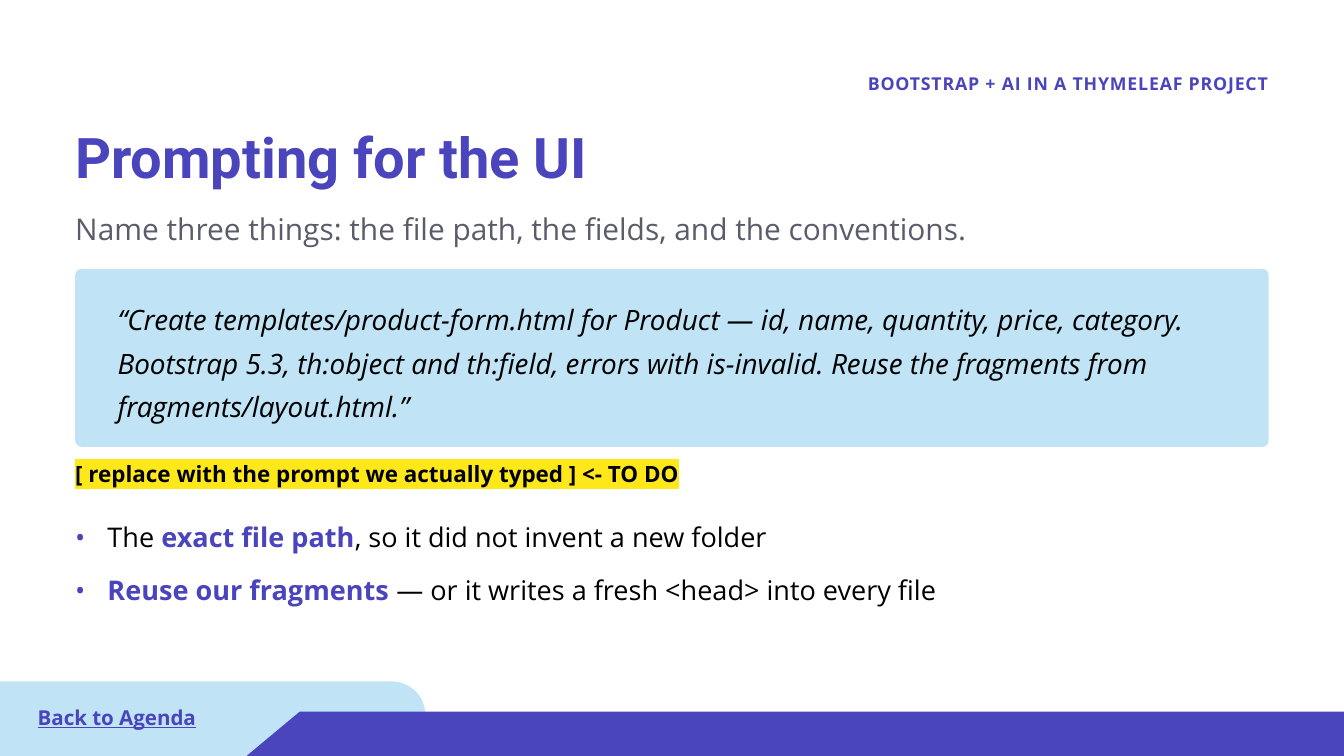
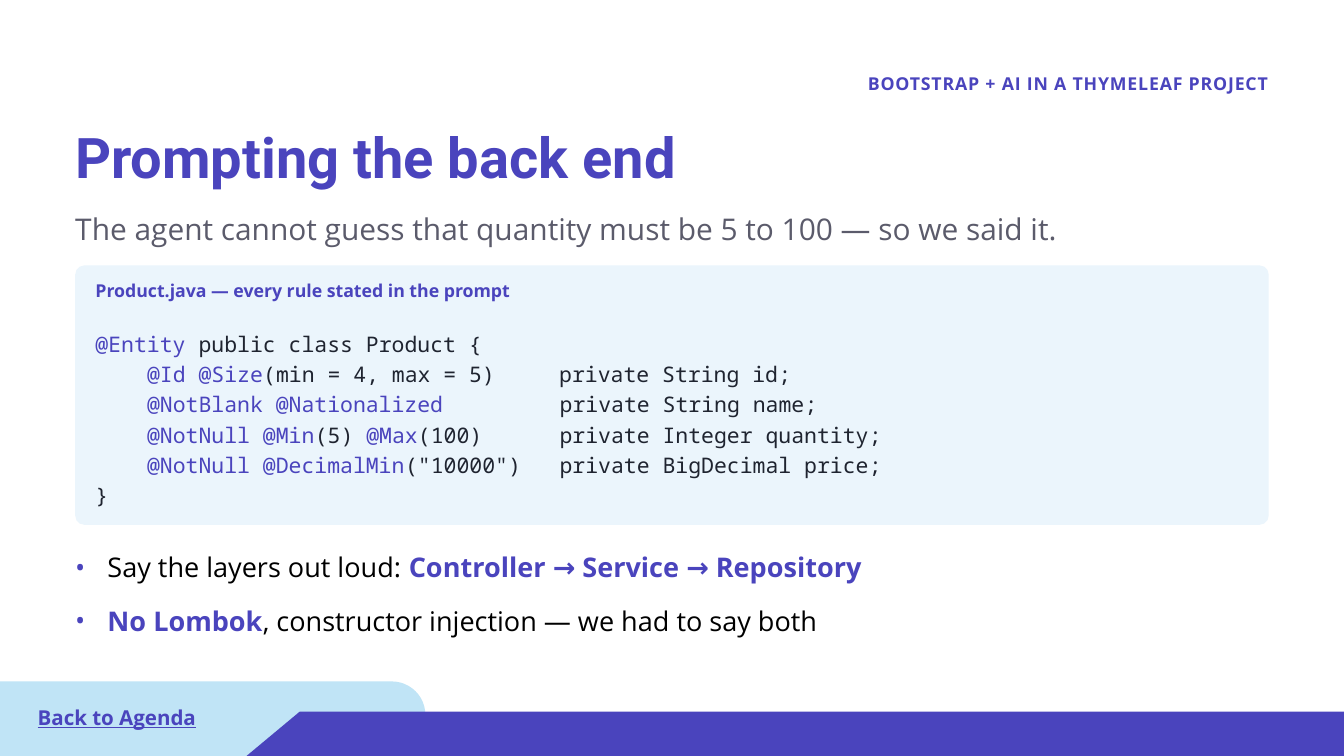
from typing import NamedTuple

from lxml import etree
from pptx import Presentation
from pptx import util as u
from pptx.dml.color import RGBColor
from pptx.enum import shapes, text
from pptx.oxml.ns import qn

COLS, ROWS = 80, 45
CELL = u.Inches(0.25)

INDIGO, SKY, PALE, YELLOW = "4A44BD", "C0E4F6", "EBF5FC", "FFE81A"
BLACK, GREY, INK = "000000", "5B5B6B", "1F2430"
BODY, HEADING, MONO = "Open Sans", "Roboto", "Noto Sans Mono"
MARGIN, CONTENT_WIDTH = 4.48, 71.04

TOPIC = "BOOTSTRAP + AI IN A THYMELEAF PROJECT"
PROMPT = (
    "“Create templates/product-form.html for Product — id, name, quantity, price, category. "
    "Bootstrap 5.3, th:object and th:field, errors with is-invalid. "
    "Reuse the fragments from fragments/layout.html.”"
)
PRODUCT_CLASS = [
    "*@Entity* public class Product {",
    "    *@Id @Size*(min = 4, max = 5)     private String id;",
    "    *@NotBlank @Nationalized*         private String name;",
    "    *@NotNull @Min*(5) *@Max*(100)      private Integer quantity;",
    '    *@NotNull @DecimalMin*("10000")   private BigDecimal price;',
    "}",
]


class Box(NamedTuple):
    """A region in grid columns and rows."""
    left: float
    top: float
    width: float
    height: float

    def emu(self):
        return [round(length * CELL) for length in self]

    def inset(self, dx, dy, height):
        return Box(self.left + dx, self.top + dy, self.width - 2 * dx, height)


def content_row(top, height):
    return Box(MARGIN, top, CONTENT_WIDTH, height)


def rgb(hex_color):
    return RGBColor.from_string(hex_color)


def add_panel(slide, box, color, preset, adjustment):
    panel = slide.shapes.add_shape(preset, *box.emu())
    panel.adjustments[0] = adjustment
    panel.shadow.inherit = False
    panel.fill.solid()
    panel.fill.fore_color.rgb = rgb(color)
    panel.line.fill.background()


def prepare_frame(frame):
    frame.margin_left = frame.margin_top = frame.margin_right = frame.margin_bottom = 0
    frame.word_wrap = True
    frame.auto_size = text.MSO_AUTO_SIZE.NONE
    frame.vertical_anchor = text.MSO_ANCHOR.TOP
    return frame


def style_run(run, size, color, font=BODY, bold=False, italic=False):
    run.font.name = font
    run.font.size = u.Pt(size)
    run.font.color.rgb = rgb(color)
    run.font.bold = bold
    run.font.italic = italic


def add_line(slide, box, words, size, color, spacing=1.0, **style):
    """Add a one-paragraph text box and return its paragraph."""
    frame = prepare_frame(slide.shapes.add_textbox(*box.emu()).text_frame)
    frame.text = words
    paragraph = frame.paragraphs[0]
    paragraph.line_spacing = spacing
    style_run(paragraph.runs[0], size, color, **style)
    return paragraph


def add_marked_runs(paragraph, marked, size, color, font=BODY, bold_marks=False):
    """Fill a paragraph; parts between asterisks take the accent colour."""
    for index, part in enumerate(marked.split("*")):
        if part:
            accent = index % 2 == 1
            run = paragraph.add_run()
            run.text = part
            style_run(run, size, INDIGO if accent else color, font, accent and bold_marks)


def paragraphs_for(frame, lines):
    for index, line in enumerate(lines):
        yield (frame.add_paragraph() if index else frame.paragraphs[0]), line


def set_bullet(paragraph, indent):
    properties = paragraph._p.get_or_add_pPr()
    properties.set("marL", str(indent))
    properties.set("indent", str(-indent))
    bullet_color = etree.SubElement(properties, qn("a:buClr"))
    etree.SubElement(bullet_color, qn("a:srgbClr"), val=INDIGO)
    etree.SubElement(properties, qn("a:buFont"), typeface=BODY)
    etree.SubElement(properties, qn("a:buChar"), char="•")


def highlight(run, color):
    mark = etree.Element(qn("a:highlight"))
    etree.SubElement(mark, qn("a:srgbClr"), val=color)
    run.font._element.find(qn("a:latin")).addprevious(mark)


def add_footer(slide):
    tab = Box(-3.04, 40.56, 28.36, 4.44)
    add_panel(slide, tab, SKY, shapes.MSO_SHAPE.ROUNDED_RECTANGLE, 0.45)
    band = Box(14.48, 42.36, 69.56, 2.8)
    add_panel(slide, band, INDIGO, shapes.MSO_SHAPE.PARALLELOGRAM, 1.2)
    back = add_line(slide, Box(2.24, 42.12, 11.12, 1.24), "Back to Agenda",
                    22, INDIGO, u.Pt(23.4), bold=True)
    back.runs[0].font.underline = True


def add_header(slide, heading, lead):
    topic = add_line(slide, Box(50.44, 4.48, 25.08, 1.12), TOPIC,
                     19, INDIGO, u.Pt(20.4), bold=True)
    topic.alignment = text.PP_ALIGN.RIGHT
    topic.runs[0].font._element.set("spc", "90")

    title = slide.shapes.title
    title.left, title.top, title.width, title.height = content_row(7.12, 4.4).emu()
    prepare_frame(title.text_frame).text = heading
    paragraph = title.text_frame.paragraphs[0]
    paragraph.alignment = text.PP_ALIGN.LEFT
    paragraph.line_spacing = 1.05
    style_run(paragraph.runs[0], 60, INDIGO, HEADING, bold=True)

    add_line(slide, content_row(12, 2.4), lead, 32, GREY, 1.25)


def add_quote_card(slide, box, quote):
    add_panel(slide, box, SKY, shapes.MSO_SHAPE.ROUNDED_RECTANGLE, 0.035)
    add_line(slide, box.inset(2.52, 1.4, 8), quote, 30, BLACK, 1.3, italic=True)


def add_code_card(slide, box, caption, code):
    add_panel(slide, box, PALE, shapes.MSO_SHAPE.ROUNDED_RECTANGLE, 0.035)
    add_line(slide, box.inset(1.2, 0.88, 1.36), caption, 19, INDIGO, bold=True)
    listing = slide.shapes.add_textbox(*box.inset(1.2, 3.6, 10.6).emu())
    for paragraph, line in paragraphs_for(prepare_frame(listing.text_frame), code):
        paragraph.line_spacing = 1.18
        add_marked_runs(paragraph, line, 23, INK, MONO)


def add_takeaways(slide, box, takeaways):
    frame = prepare_frame(slide.shapes.add_textbox(*box.emu()).text_frame)
    for paragraph, takeaway in paragraphs_for(frame, takeaways):
        set_bullet(paragraph, u.Inches(0.48))
        paragraph.line_spacing = 1.3
        paragraph.space_after = u.Pt(12)
        add_marked_runs(paragraph, takeaway, 29, BLACK, bold_marks=True)


def start_slide(deck, heading, lead):
    slide = deck.slides.add_slide(deck.slide_layouts[5])
    add_footer(slide)
    add_header(slide, heading, lead)
    return slide


def build_ui_slide(deck):
    slide = start_slide(deck, "Prompting for the UI",
                        "Name three things: the file path, the fields, and the conventions.")
    add_quote_card(slide, content_row(16, 10.6), PROMPT)
    reminder = add_line(slide, content_row(27.4, 2),
                        "[ replace with the prompt we actually typed ] <- TO DO",
                        24, BLACK, bold=True)
    highlight(reminder.runs[0], YELLOW)
    add_takeaways(slide, content_row(30.4, 6), [
        "The *exact file path*, so it did not invent a new folder",
        "*Reuse our fragments* — or it writes a fresh <head> into every file",
    ])


def build_back_end_slide(deck):
    slide = start_slide(deck, "Prompting the back end",
                        "The agent cannot guess that quantity must be 5 to 100 — so we said it.")
    add_code_card(slide, content_row(15.8, 15.44),
                  "Product.java — every rule stated in the prompt", PRODUCT_CLASS)
    add_takeaways(slide, content_row(32.2, 6), [
        "Say the layers out loud: *Controller → Service → Repository*",
        "*No Lombok*, constructor injection — we had to say both",
    ])


def main():
    deck = Presentation()
    deck.slide_width, deck.slide_height = COLS * CELL, ROWS * CELL
    build_ui_slide(deck)
    build_back_end_slide(deck)
    deck.save("out.pptx")


if __name__ == "__main__":
    main()
